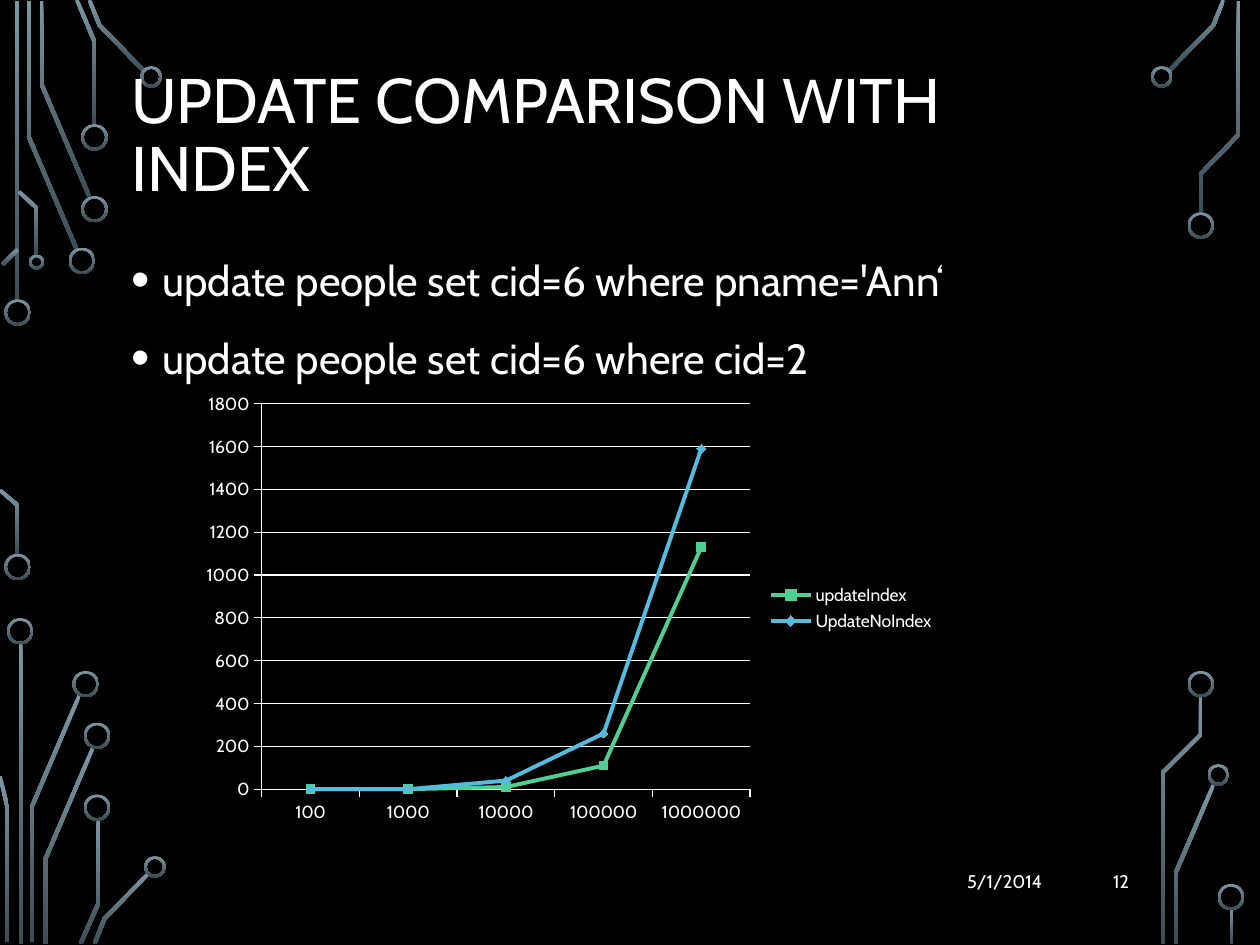
"""Build the update comparison slide: circuit traces, title, two queries and a line chart."""
from math import hypot

from lxml import etree
from pptx import Presentation
from pptx.chart.data import CategoryChartData
from pptx.dml.color import RGBColor
from pptx.enum.chart import XL_CHART_TYPE, XL_LEGEND_POSITION, XL_MARKER_STYLE, XL_TICK_MARK
from pptx.enum.shapes import MSO_SHAPE
from pptx.enum.text import MSO_ANCHOR, MSO_AUTO_SIZE, PP_ALIGN
from pptx.oxml.ns import qn
from pptx.util import Inches, Pt

LEFT, RIGHT = PP_ALIGN.LEFT, PP_ALIGN.RIGHT
TOP, MIDDLE = MSO_ANCHOR.TOP, MSO_ANCHOR.MIDDLE
DONUT, RECT = MSO_SHAPE.DONUT, MSO_SHAPE.RECTANGLE
SQUARE, DIAMOND = XL_MARKER_STYLE.SQUARE, XL_MARKER_STYLE.DIAMOND
OUTSIDE = XL_TICK_MARK.OUTSIDE
BLACK = RGBColor(0x00, 0x00, 0x00)
WHITE = RGBColor(0xFF, 0xFF, 0xFF)
STEEL = RGBColor(0x7C, 0x96, 0xA3)
SLATE = RGBColor(0x3B, 0x4C, 0x54)
GREEN = RGBColor(0x4F, 0xD0, 0x93)
BLUE = RGBColor(0x54, 0xBC, 0xDF)
FONT = "Cabin"
TRACE = 0.03

TITLE = "UPDATE COMPARISON WITH INDEX"
QUERIES = ["update people set cid=6 where pname='Ann\u2018",
           "update people set cid=6 where cid=2"]
FOOTERS = [("5/1/2014", 6.12, 2.25), ("12", 8.43, 0.63)]
SIZES = ["100", "1000", "10000", "100000", "1000000"]
SERIES = [("updateIndex", (0, 0, 10, 110, 1130), GREEN, SQUARE),
          ("UpdateNoIndex", (0, 0, 40, 260, 1590), BLUE, DIAMOND)]

RAILS = [(0.12, 0.01, 2.39), (0.15, 5.1, 2.39), (9.76, 7.21, 0.28)]
TRACES = [
    [(0.23, 0.01), (0.23, 1.09), (0.61, 1.98)],
    [(0.33, 0.01), (0.33, 0.67), (0.71, 1.56)],
    [(0.61, 0), (0.75, 0.33), (0.75, 1)],
    [(0.71, 0), (0.79, 0.2), (1.15, 0.57)],
    [(0.02, 2.1), (0.14, 1.98)],
    [(0, 3.89), (0.14, 4.01), (0.14, 4.41)],
    [(0.15, 1.52), (0.29, 1.65), (0.29, 2.03)],
    [(0.25, 7.48), (0.25, 6.41), (0.63, 5.52)],
    [(0, 6.16), (0.06, 6.41), (0.06, 7.48)],
    [(0.36, 7.49), (0.36, 6.82), (0.74, 5.93)],
    [(0.64, 7.49), (0.78, 7.17), (0.78, 6.5)],
    [(0.75, 7.49), (0.83, 7.29), (1.18, 6.93)],
    [(9.28, 0.56), (9.63, 0.2), (9.71, 0)],
    [(9.33, 7.49), (9.33, 6.93), (9.63, 6.23)],
    [(9.53, 1.69), (9.53, 1.38), (9.83, 1.07), (9.83, 0.01)],
    [(9.23, 7.49), (9.23, 6.13), (9.53, 5.83), (9.53, 5.52)],
]
RINGS = {
    0.21: [(0.14, 2.48), (0.14, 4.5), (0.65, 2.07), (0.75, 1.66), (0.75, 1.09),
           (0.16, 5.01), (0.68, 5.43), (0.77, 5.84), (0.77, 6.41),
           (9.53, 1.79), (9.53, 5.43), (9.77, 7.12)],
    0.17: [(1.2, 0.61), (1.23, 6.88), (9.22, 0.61), (9.67, 6.15)],
    0.12: [(0.29, 2.08)],
}


def place(shape, left, top, width, height):
    """Set a shape's box in inches."""
    shape.left, shape.top = Inches(left), Inches(top)
    shape.width, shape.height = Inches(width), Inches(height)


def steel(shape):
    """Give a circuit part its vertical gradient."""
    shape.shadow.inherit = False
    shape.line.fill.background()
    shape.fill.gradient()
    shape.fill.gradient_angle = 270
    for stop, color in zip(shape.fill.gradient_stops, (STEEL, SLATE)):
        stop.color.rgb = color


def edge(points):
    """Return the points moved half a trace to one side, with mitred corners."""
    normals = []
    for (x1, y1), (x2, y2) in zip(points, points[1:]):
        length = hypot(x2 - x1, y2 - y1)
        normals.append(((y1 - y2) / length, (x2 - x1) / length))
    sides = zip(points, normals[:1] + normals, normals + normals[-1:])
    moved = []
    for (x, y), (ax, ay), (bx, by) in sides:
        k = TRACE / 2 / (1 + ax * bx + ay * by)
        moved.append((Inches(x + k * (ax + bx)), Inches(y + k * (ay + by))))
    return moved


def write(shape, lines, size, align, anchor, spacing=1.0):
    """Fill a shape with formatted paragraphs."""
    tf = shape.text_frame
    tf.text = "\n".join(lines)
    tf.word_wrap = True
    tf.auto_size = MSO_AUTO_SIZE.NONE
    tf.vertical_anchor = anchor
    for p in tf.paragraphs:
        p.alignment, p.line_spacing = align, spacing
        font = p.runs[0].font
        font.size, font.name, font.color.rgb = Pt(size), FONT, WHITE
    return tf.paragraphs


prs = Presentation()
prs.slide_width, prs.slide_height = Inches(10), Inches(7.5)
s = prs.slides.add_slide(prs.slide_layouts[1])
s.background.fill.solid()
s.background.fill.fore_color.rgb = BLACK

circuit = s.shapes.add_group_shape()
for left, top, height in RAILS:
    steel(circuit.shapes.add_shape(RECT, Inches(left), Inches(top), Inches(TRACE), Inches(height)))
for trace in TRACES:
    outline = edge(trace) + edge(trace[::-1])
    builder = circuit.shapes.build_freeform(*outline[0])
    builder.add_line_segments(outline[1:], close=True)
    steel(builder.convert_to_shape())
for size, centres in RINGS.items():
    for x, y in centres:
        ring = circuit.shapes.add_shape(DONUT, Inches(x - size / 2), Inches(y - size / 2),
                                        Inches(size), Inches(size))
        ring.adjustments[0] = 0.02 / size
        steel(ring)
s.shapes.element.insert(2, circuit.element)

title, body = s.shapes.title, s.placeholders[1]
place(title, 0.94, 0.28, 8.12, 1.62)
write(title, [TITLE], 36, LEFT, MIDDLE, 0.9)
place(body, 0.94, 1.89, 8.12, 4.51)
for p in write(body, QUERIES, 24, LEFT, TOP, 1.2):
    p.space_before = Pt(10)
    pPr = p._p.get_or_add_pPr()
    pPr.set("marL", str(Inches(0.25)))
    pPr.set("indent", str(Inches(-0.25)))
    for tag, key, value in (("a:buSzPct", "val", "125000"), ("a:buFont", "typeface", "Arial"),
                            ("a:buChar", "char", "\u2022")):
        etree.SubElement(pPr, qn(tag)).set(key, value)

for text, left, width in FOOTERS:
    box = s.shapes.add_textbox(Inches(left), Inches(6.79), Inches(width), Inches(0.4))
    write(box, [text], 10.5, RIGHT, MIDDLE)

data = CategoryChartData()
data.categories = SIZES
for name, values, _, _ in SERIES:
    data.add_series(name, values)
chart = s.shapes.add_chart(XL_CHART_TYPE.LINE_MARKERS, Inches(1.52), Inches(3.05),
                           Inches(6), Inches(3.55), data).chart
chart.font.size, chart.font.name, chart.font.color.rgb = Pt(10), FONT, WHITE
chart.has_title = False
chart.has_legend = True
chart.legend.position = XL_LEGEND_POSITION.RIGHT
chart.legend.include_in_layout = False
chart.plots[0].vary_by_categories = False
chart.value_axis.minimum_scale, chart.value_axis.maximum_scale = 0, 1800
chart.value_axis.major_unit = 200
chart.value_axis.has_major_gridlines = True
for axis in (chart.category_axis, chart.value_axis):
    axis.major_tick_mark = OUTSIDE
for part in (chart.category_axis, chart.value_axis, chart.value_axis.major_gridlines):
    part.format.line.color.rgb = WHITE
    part.format.line.width = Pt(0.75)
for series, (_, _, color, marker) in zip(chart.plots[0].series, SERIES):
    series.smooth = False
    series.format.line.color.rgb = color
    series.format.line.width = Pt(2.25)
    series.marker.style, series.marker.size = marker, 5
    series.marker.format.fill.solid()
    series.marker.format.fill.fore_color.rgb = color
    series.marker.format.line.color.rgb = color

prs.save("out.pptx")
